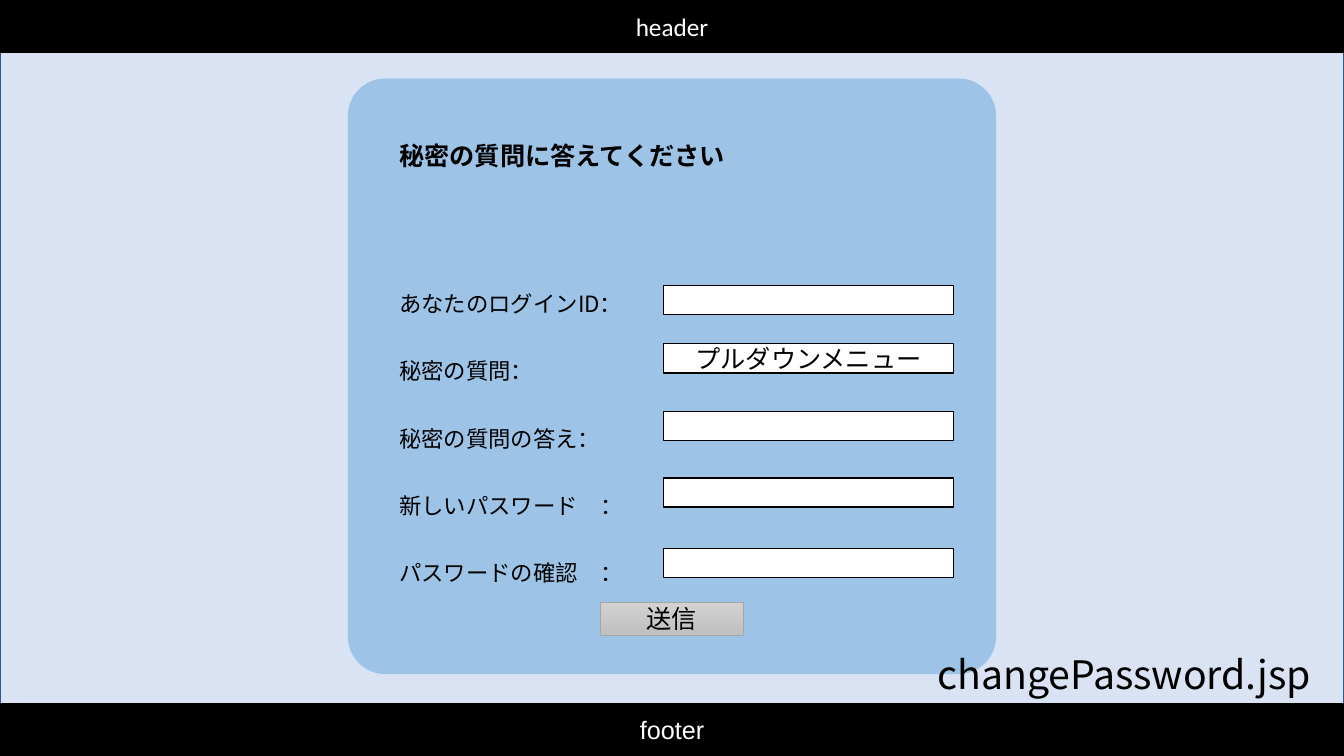
from dataclasses import dataclass

from lxml.etree import SubElement
from pptx import Presentation
from pptx.dml.color import RGBColor
from pptx.enum.shapes import MSO_SHAPE as Preset
from pptx.enum.text import MSO_ANCHOR as Anchor, MSO_AUTO_SIZE as AutoSize, PP_ALIGN as Align
from pptx.oxml.ns import qn
from pptx.shapes.autoshape import Shape
from pptx.slide import Slide
from pptx.text.text import TextFrame
from pptx.util import Pt

BLACK = RGBColor(0x00, 0x00, 0x00)
WHITE = RGBColor(0xFF, 0xFF, 0xFF)
PAGE_FILL = RGBColor(0xDA, 0xE3, 0xF3)
PAGE_EDGE = RGBColor(0x32, 0x54, 0x91)
CARD_FILL = RGBColor(0x9D, 0xC3, 0xE6)
BUTTON_TOP = RGBColor(0xD2, 0xD2, 0xD2)
BUTTON_BOTTOM = RGBColor(0xC0, 0xC0, 0xC0)
BUTTON_EDGE = RGBColor(0xA5, 0xA5, 0xA5)

JAPANESE = "Noto Sans CJK JP"
SLIDE_WIDTH, SLIDE_HEIGHT = 960, 540
BAR_HEIGHT = 37.5
LABEL_LEFT, LABEL_PITCH = 278, 47.9


@dataclass(frozen=True)
class Area:
    left: float
    top: float
    width: float
    height: float


@dataclass(frozen=True)
class Panel:
    area: Area
    fill: RGBColor
    edge: RGBColor | None = None
    edge_width: float = 1
    preset: Preset = Preset.RECTANGLE
    text: str = ""
    typeface: str = JAPANESE
    ink: RGBColor = BLACK


@dataclass(frozen=True)
class Field:
    label: str
    top: float
    value: str = ""


FIELDS = [
    Field("あなたのログインID：", 203.8),
    Field("秘密の質問：", 245.5, "プルダウンメニュー"),
    Field("秘密の質問の答え：", 293.8),
    Field("新しいパスワード　：", 341.3),
    Field("パスワードの確認　：", 391.7),
]


def place(shape: Shape, area: Area) -> None:
    for side in ("left", "top", "width", "height"):
        setattr(shape, side, Pt(getattr(area, side)))


def write(frame: TextFrame, lines: list[str], size: float, typeface: str = JAPANESE,
          ink: RGBColor = BLACK, bold: bool = False, align: Align = Align.LEFT,
          anchor: Anchor = Anchor.TOP, pitch: float | None = None) -> None:
    """Fill a frame with plain, unbulleted paragraphs of one format."""
    frame.text = "\n".join(lines)
    frame_format = {"word_wrap": True, "auto_size": AutoSize.NONE, "vertical_anchor": anchor}
    for name, value in frame_format.items():
        setattr(frame, name, value)
    paragraph_format = {"alignment": align, "space_before": Pt(0),
                        "line_spacing": Pt(pitch) if pitch else 1.0}
    font_format = {"size": Pt(size), "name": typeface, "bold": bold}
    for paragraph in frame.paragraphs:
        properties = paragraph._p.get_or_add_pPr()
        for indent in ("marL", "indent"):
            properties.set(indent, "0")
        SubElement(properties, qn("a:buNone"))
        for name, value in paragraph_format.items():
            setattr(paragraph, name, value)
        for run in paragraph.runs:
            for name, value in font_format.items():
                setattr(run.font, name, value)
            run.font.color.rgb = ink
            SubElement(run._r.get_or_add_rPr(), qn("a:ea"), typeface=typeface)


def draw_panel(slide: Slide, panel: Panel) -> Shape:
    shape = slide.shapes.add_shape(panel.preset, 0, 0, 0, 0)
    place(shape, panel.area)
    shape.shadow.inherit = False
    shape.fill.solid()
    shape.fill.fore_color.rgb = panel.fill
    if panel.edge is None:
        shape.line.fill.background()
    else:
        shape.line.color.rgb = panel.edge
        shape.line.width = Pt(panel.edge_width)
    if panel.text:
        write(shape.text_frame, [panel.text], 18, panel.typeface, panel.ink,
              align=Align.CENTER, anchor=Anchor.MIDDLE)
    return shape


def draw_page(slide: Slide) -> None:
    footer_top = SLIDE_HEIGHT - BAR_HEIGHT
    draw_panel(slide, Panel(Area(0, BAR_HEIGHT, SLIDE_WIDTH, footer_top - BAR_HEIGHT),
                            PAGE_FILL, PAGE_EDGE))
    card = draw_panel(slide, Panel(Area(248.5, 56, 463, 425.5), CARD_FILL,
                                   preset=Preset.ROUNDED_RECTANGLE))
    card.adjustments[0] = 0.063
    for text, top, typeface in (("header", 0, "Calibri"), ("footer", footer_top, "Arial")):
        draw_panel(slide, Panel(Area(0, top, SLIDE_WIDTH, BAR_HEIGHT), BLACK, BLACK,
                                text=text, typeface=typeface, ink=WHITE))
    file_name = slide.shapes.add_textbox(Pt(662.5), Pt(460.8), Pt(297.5), Pt(41))
    write(file_name.text_frame, ["changePassword.jsp"], 28)


def draw_form(slide: Slide) -> None:
    heading, labels = slide.placeholders
    for placeholder in (heading, labels):
        slide.shapes._spTree.append(placeholder._element)  # in front of the card
    place(heading, Area(LABEL_LEFT, 91, 403, 40))
    write(heading.text_frame, ["秘密の質問に答えてください"], 18, bold=True, anchor=Anchor.MIDDLE)
    place(labels, Area(LABEL_LEFT, 175.2, 403, LABEL_PITCH * len(FIELDS) + 7.2))
    write(labels.text_frame, [field.label for field in FIELDS], 16, pitch=LABEL_PITCH)

    for field in FIELDS:
        draw_panel(slide, Panel(Area(473.8, field.top, 207.4, 20.9), WHITE, BLACK,
                                text=field.value))
    submit = draw_panel(slide, Panel(Area(429, 430.4, 102, 23.2), BUTTON_TOP, BUTTON_EDGE, 0.5,
                                     text="送信"))
    submit.fill.gradient()
    submit.fill.gradient_angle = 270
    for stop, color in zip(submit.fill.gradient_stops, (BUTTON_TOP, BUTTON_BOTTOM)):
        stop.color.rgb = color


def main() -> None:
    presentation = Presentation()
    presentation.slide_width, presentation.slide_height = Pt(SLIDE_WIDTH), Pt(SLIDE_HEIGHT)
    slide = presentation.slides.add_slide(presentation.slide_layouts[1])
    draw_page(slide)
    draw_form(slide)
    presentation.save("out.pptx")


if __name__ == "__main__":
    main()
